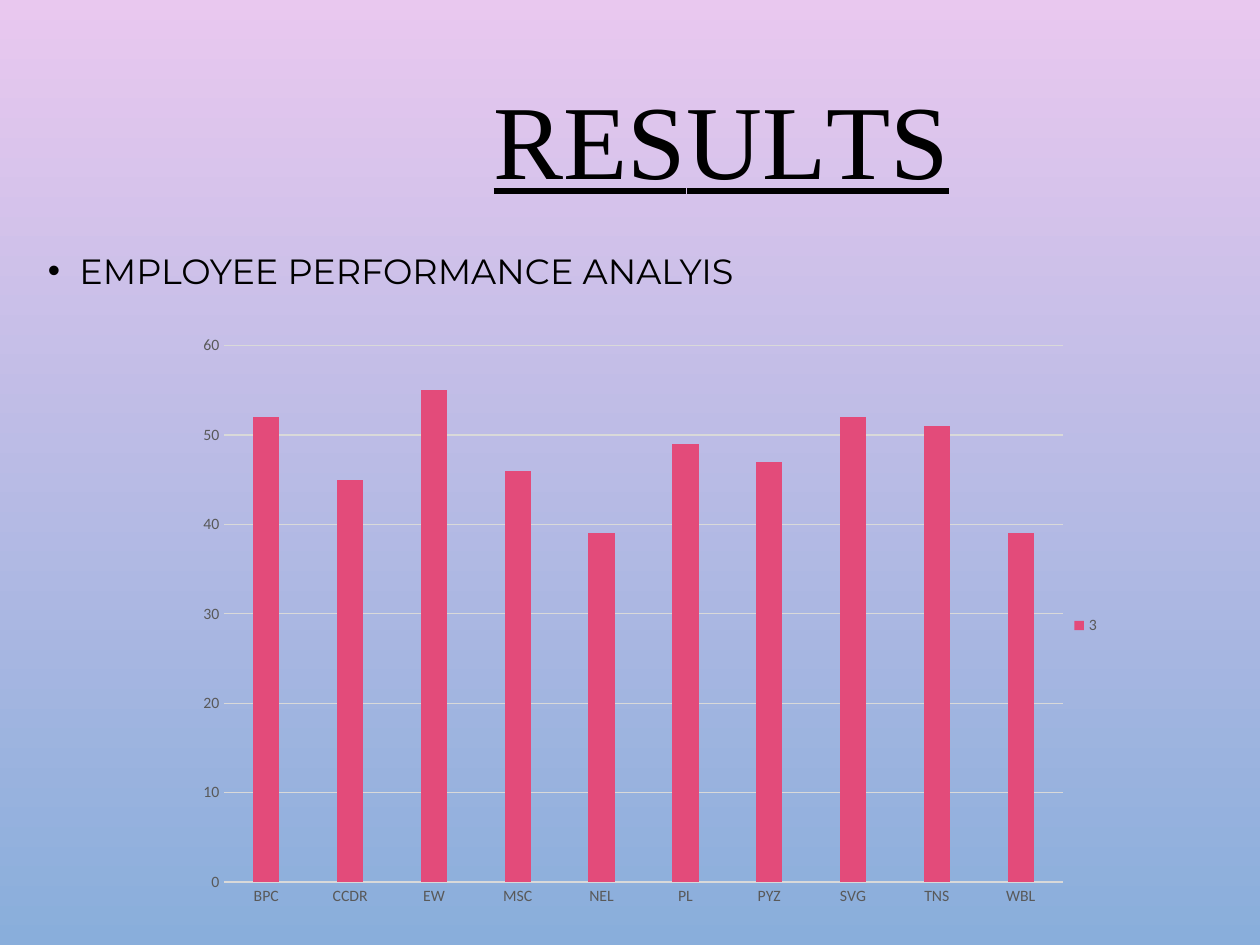
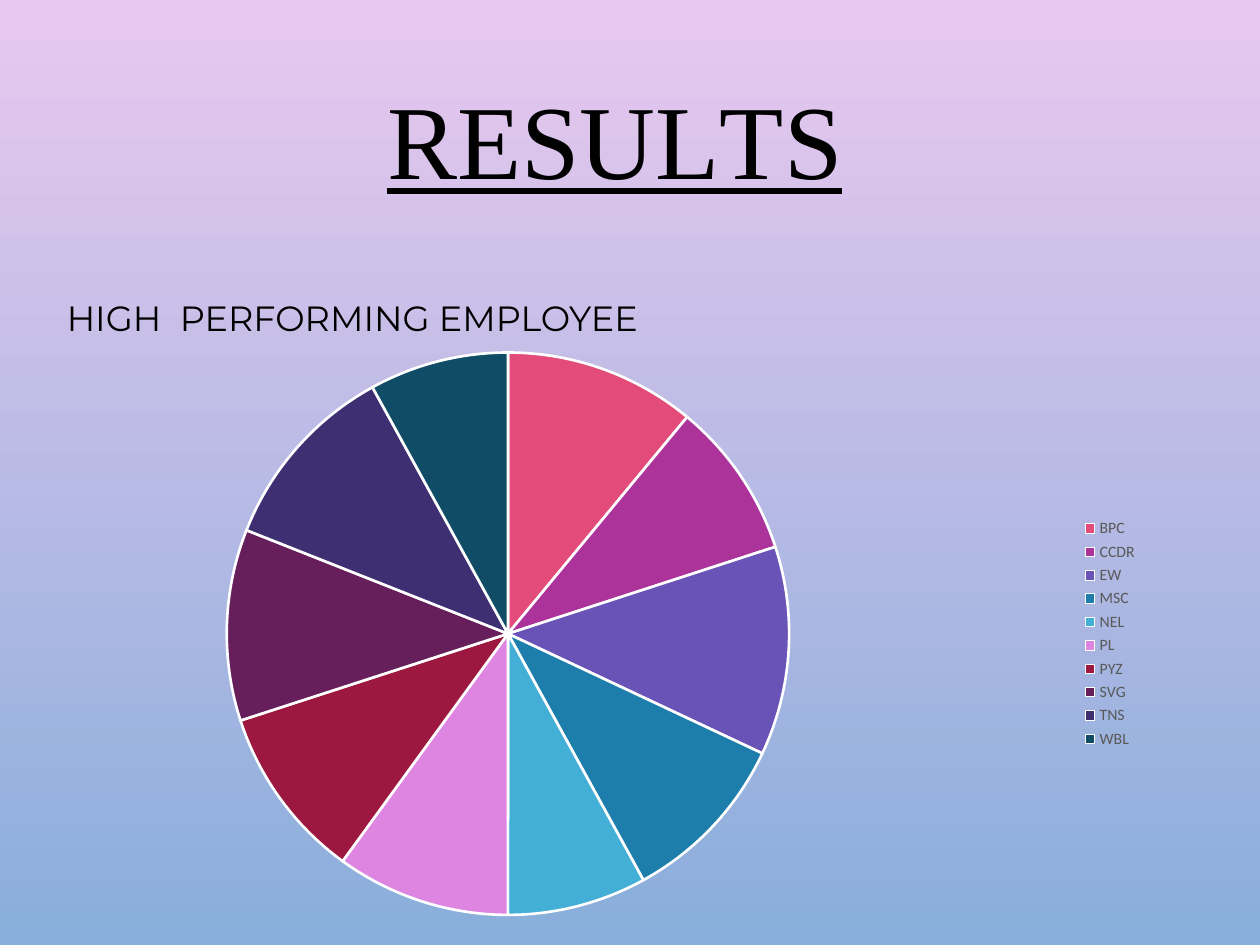
"""Build two results slides: a performance column chart and a high performer pie chart."""
from dataclasses import dataclass

from lxml import etree
from pptx import Presentation
from pptx import oxml
from pptx.chart import data as chart_data
from pptx.dml.color import RGBColor
from pptx.enum import chart as chart_enum
from pptx.enum import text
from pptx.oxml import ns
from pptx.util import Inches, Pt


@dataclass(frozen=True)
class Theme:
    sky_top: str = "E9C8EF"
    sky_bottom: str = "89AEDB"
    ink: str = "000000"
    label: str = "595959"
    rule: str = "D9D9D9"
    slice_edge: str = "FFFFFF"
    accents: tuple[str, ...] = ("E34B7A", "AC339A", "6953B7", "1D7EAB", "43AFD6",
                                "DE85E1", "9D1841", "671F5C", "3D2F71", "114C67")
    title_face: str = "Times New Roman"
    body_face: str = "Montserrat"
    chart_face: str = "Calibri"
    title_size: int = 60
    body_size: int = 20
    chart_size: int = 10
    label_size: int = 9


@dataclass(frozen=True)
class Box:
    left: float
    top: float
    width: float
    height: float

    def lengths(self) -> tuple:
        return tuple(Inches(v) for v in (self.left, self.top, self.width, self.height))


@dataclass(frozen=True)
class ResultSlide:
    title_box: Box
    caption: str
    caption_box: Box
    bulleted: bool
    kind: chart_enum.XL_CHART_TYPE
    chart_box: Box
    series_name: str
    values: tuple[int, ...]


THEME = Theme()
UNITS = ("BPC", "CCDR", "EW", "MSC", "NEL", "PL", "PYZ", "SVG", "TNS", "WBL")
TITLE_KERNING = (("R", 0), ("E", -0.4), ("S", 0.1), ("U", -0.3), ("L", -4), ("TS", 0))
PLOT_LAYOUT = {"layoutTarget": "inner", "xMode": "edge", "yMode": "edge",
               "x": 0.11, "y": 0.02, "w": 0.84, "h": 0.92}

SLIDES = (
    ResultSlide(Box(2.24, 0.45, 6.97, 1.41),
                "EMPLOYEE PERFORMANCE ANALYIS", Box(0.28, 1.86, 8.7, 1.02), True,
                chart_enum.XL_CHART_TYPE.COLUMN_CLUSTERED, Box(0.91, 2.65, 7.92, 4.63),
                "3", (52, 45, 55, 46, 39, 49, 47, 52, 51, 39)),
    ResultSlide(Box(0.63, 0.28, 8.5, 1.75),
                "HIGH  PERFORMING EMPLOYEE", Box(0.43, 2.24, 8.7, 0.83), False,
                chart_enum.XL_CHART_TYPE.PIE, Box(-0.51, 2.66, 9.64, 4.74),
                "Series 1", (11, 9, 12, 10, 8, 10, 10, 11, 11, 8)),
)


def rgb(value: str) -> RGBColor:
    return RGBColor.from_string(value)


def style_font(font, face: str, size: int, color: str) -> None:
    font.name, font.size = face, Pt(size)
    font.color.rgb = rgb(color)


def style_label(font) -> None:
    style_font(font, THEME.chart_face, THEME.label_size, THEME.label)


def paint_background(master) -> None:
    fill = master.background.fill
    fill.gradient()
    fill.gradient_angle = 270
    for stop, color, position in zip(fill.gradient_stops,
                                     (THEME.sky_top, THEME.sky_bottom), (0, 1)):
        stop.color.rgb = rgb(color)
        stop.position = position


def place(placeholder, box: Box, anchor):
    placeholder.left, placeholder.top, placeholder.width, placeholder.height = box.lengths()
    frame = placeholder.text_frame
    frame.auto_size = text.MSO_AUTO_SIZE.NONE
    frame.word_wrap = True
    frame.vertical_anchor = anchor
    return frame.paragraphs[0]


def write_title(placeholder, box: Box) -> None:
    title = place(placeholder, box, text.MSO_ANCHOR.MIDDLE)
    title.alignment = text.PP_ALIGN.CENTER
    title.line_spacing = 0.9
    style_font(title.font, THEME.title_face, THEME.title_size, THEME.ink)
    title.font.underline = True
    for letters, spacing in TITLE_KERNING:
        run = title.add_run()
        run.text = letters
        run._r.get_or_add_rPr().set("spc", str(round(spacing * 100)))


def set_bullet(paragraph, bulleted: bool) -> None:
    properties = paragraph._p.get_or_add_pPr()
    indent = Inches(0.25) if bulleted else 0
    properties.set("marL", str(indent))
    properties.set("indent", str(-indent))
    if not bulleted:
        etree.SubElement(properties, ns.qn("a:buNone"))
        return
    properties.append(oxml.parse_xml(
        f'<a:buClr {ns.nsdecls("a")}><a:srgbClr val="{THEME.ink}"/></a:buClr>'))
    etree.SubElement(properties, ns.qn("a:buFont")).set("typeface", "Arial")
    etree.SubElement(properties, ns.qn("a:buChar")).set("char", "•")


def write_caption(placeholder, content: ResultSlide) -> None:
    caption = place(placeholder, content.caption_box, text.MSO_ANCHOR.TOP)
    caption.line_spacing = 1.2
    caption.space_before = Pt(10)
    set_bullet(caption, content.bulleted)
    caption.add_run().text = content.caption
    style_font(caption.font, THEME.body_face, THEME.body_size, THEME.ink)


def draw_rule(line) -> None:
    line.color.rgb = rgb(THEME.rule)
    line.width = Pt(0.75)


def set_plot_layout(chart) -> None:
    plot_area = chart._chartSpace.chart.plotArea
    for old in plot_area.findall(ns.qn("c:layout")):
        plot_area.remove(old)
    layout = etree.Element(ns.qn("c:layout"))
    manual = etree.SubElement(layout, ns.qn("c:manualLayout"))
    for tag, value in PLOT_LAYOUT.items():
        etree.SubElement(manual, ns.qn(f"c:{tag}")).set("val", str(value))
    plot_area.insert(0, layout)


def style_columns(chart) -> None:
    plot = chart.plots[0]
    plot.vary_by_categories = False
    plot.gap_width, plot.overlap = 219, -27
    columns = plot.series[0].format.fill
    columns.solid()
    columns.fore_color.rgb = rgb(THEME.accents[0])
    for axis in (chart.category_axis, chart.value_axis):
        axis.major_tick_mark = axis.minor_tick_mark = chart_enum.XL_TICK_MARK.NONE
        style_label(axis.tick_labels.font)
    draw_rule(chart.category_axis.format.line)
    chart.value_axis.format.line.fill.background()
    chart.value_axis.has_major_gridlines = True
    draw_rule(chart.value_axis.major_gridlines.format.line)
    set_plot_layout(chart)


def style_pie(chart) -> None:
    plot = chart.plots[0]
    plot.vary_by_categories = True
    for index, color in enumerate(THEME.accents):
        wedge = plot.series[0].points[index].format
        wedge.fill.solid()
        wedge.fill.fore_color.rgb = rgb(color)
        wedge.line.color.rgb = rgb(THEME.slice_edge)
        wedge.line.width = Pt(1.5)


def add_result_chart(slide, content: ResultSlide) -> None:
    figures = chart_data.CategoryChartData()
    figures.categories = UNITS
    figures.add_series(content.series_name, content.values)
    chart = slide.shapes.add_chart(content.kind, *content.chart_box.lengths(), figures).chart
    style_font(chart.font, THEME.chart_face, THEME.chart_size, THEME.ink)
    chart.has_title = False
    chart.has_legend = True
    chart.legend.position = chart_enum.XL_LEGEND_POSITION.RIGHT
    chart.legend.include_in_layout = False
    style_label(chart.legend.font)
    if content.kind == chart_enum.XL_CHART_TYPE.PIE:
        style_pie(chart)
    else:
        style_columns(chart)


def main() -> None:
    deck = Presentation()
    deck.slide_width, deck.slide_height = Inches(10), Inches(7.5)
    paint_background(deck.slide_master)
    for content in SLIDES:
        slide = deck.slides.add_slide(deck.slide_layouts[1])
        write_title(slide.shapes.title, content.title_box)
        write_caption(slide.placeholders[1], content)
        add_result_chart(slide, content)
    deck.save("out.pptx")


if __name__ == "__main__":
    main()
